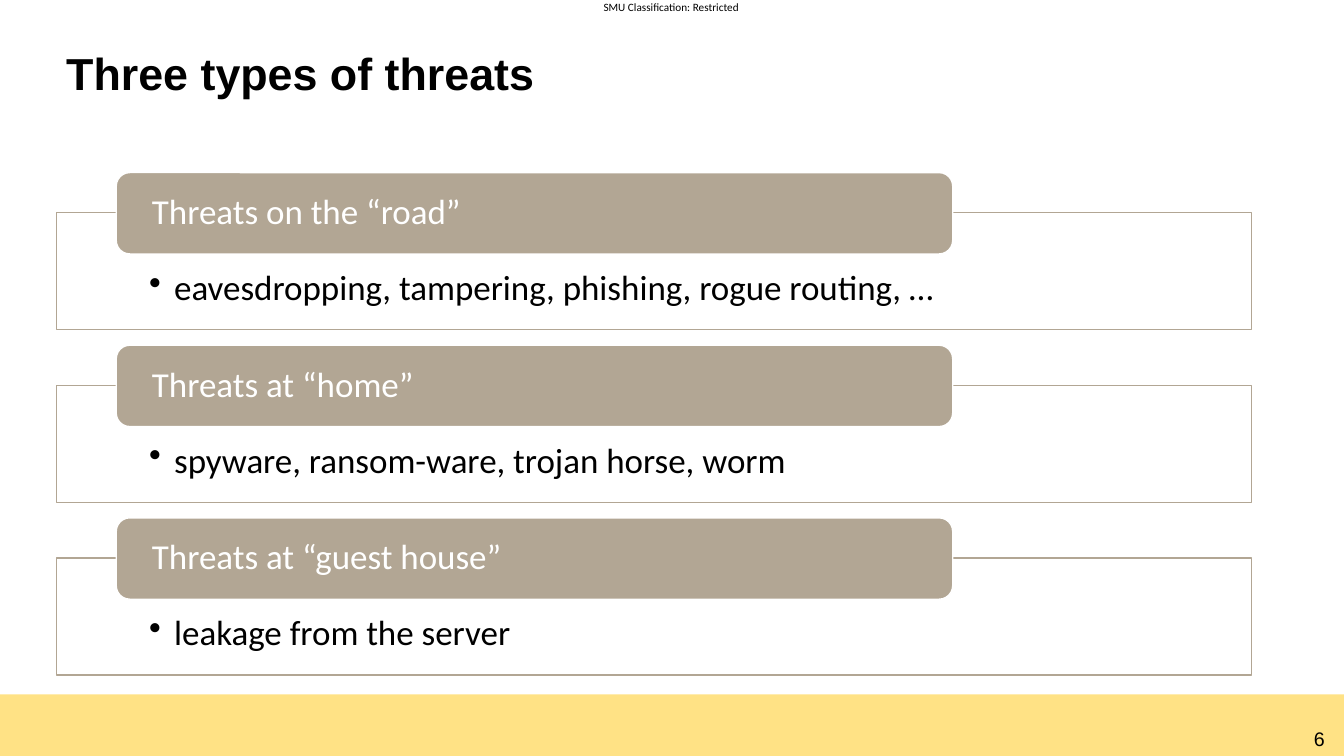
import pptx
import pptx.dml.color
import pptx.enum.shapes
import pptx.enum.text
import pptx.oxml
import pptx.oxml.ns
import pptx.util
from pptx.util import Cm

SHAPE = pptx.enum.shapes.MSO_SHAPE
ANCHOR = pptx.enum.text.MSO_ANCHOR
ALIGN = pptx.enum.text.PP_ALIGN


def color(value):
    return pptx.dml.color.RGBColor.from_string(value)


def write(box, text, size, font, ink="000000", align=ALIGN.LEFT,
          anchor=ANCHOR.TOP, insets=(0.25, 0.13, 0.25, 0.13), spacing=1.0, bullet=False):
    """Fill a box with one paragraph; insets are left, top, right, bottom in cm."""
    frame = box.text_frame
    frame.word_wrap = True
    frame.vertical_anchor = anchor
    frame.margin_left, frame.margin_top, frame.margin_right, frame.margin_bottom = map(Cm, insets)
    para = frame.paragraphs[0]
    para.text = text
    para.alignment = align
    para.line_spacing = spacing
    if bullet:
        properties = para._p.get_or_add_pPr()
        properties.set("marL", str(Cm(0.63)))
        properties.set("indent", str(-Cm(0.63)))
        properties.append(pptx.oxml.parse_xml(
            f'<a:buChar {pptx.oxml.ns.nsdecls("a")} char="•"/>'))
    para.font.size = pptx.util.Pt(size)
    para.font.name = font
    para.font.color.rgb = color(ink)
    return para


deck = pptx.Presentation()
deck.slide_width, deck.slide_height = Cm(33.87), Cm(19.05)
page = deck.slides.add_slide(deck.slide_layouts[6])
page.background.fill.solid()
page.background.fill.fore_color.rgb = color("FFFFFF")

# Footer band, page number and classification
band = page.shapes.add_shape(SHAPE.RECTANGLE, 0, Cm(17.5), deck.slide_width, Cm(1.55))
band.shadow.inherit = False
band.fill.solid()
band.fill.fore_color.rgb = color("FFE285")
band.line.fill.background()
number = page.shapes.add_textbox(Cm(32.64), Cm(18.19), Cm(1.22), Cm(0.86))
write(number, "6", 14, "Arial", align=ALIGN.CENTER)
label = page.shapes.add_textbox(Cm(15.21), 0, Cm(3.6), Cm(0.33))
write(label, "SMU Classification: Restricted", 8, "Calibri", insets=(0, 0, 0, 0))

# Title
title = page.shapes.add_textbox(Cm(1.42), Cm(0.08), Cm(30.12), Cm(3.68))
write(title, "Three types of threats", 32, "Arial", anchor=ANCHOR.MIDDLE,
      spacing=0.9).font.bold = True

# Threat panels, each with a heading over its top edge
threats = [
    ("Threats on the “road”", "eavesdropping, tampering, phishing, rogue routing, …"),
    ("Threats at “home”", "spyware, ransom-ware, trojan horse, worm"),
    ("Threats at “guest house”", "leakage from the server"),
]
for index, (heading_text, examples) in enumerate(threats):
    top = 4.35 + 4.35 * index
    panel = page.shapes.add_shape(SHAPE.RECTANGLE, Cm(1.42), Cm(top + 1.01), Cm(30.12), Cm(2.95))
    heading = page.shapes.add_shape(
        SHAPE.ROUNDED_RECTANGLE, Cm(2.93), Cm(top), Cm(21.08), Cm(2.05))
    for box, fill, line in ((panel, "FFFFFF", "B2A694"), (heading, "B2A694", "FFFFFF")):
        box.shadow.inherit = False
        box.fill.solid()
        box.fill.fore_color.rgb = color(fill)
        box.line.color.rgb = color(line)
        box.line.width = pptx.util.Pt(1)
    write(panel, examples, 25, "Calibri", insets=(2.34, 1.45, 2.34, 0.48),
          spacing=0.9, bullet=True)
    write(heading, heading_text, 25, "Calibri", ink="FFFFFF", anchor=ANCHOR.MIDDLE,
          insets=(0.8, 0, 0.8, 0), spacing=0.9)

deck.save("out.pptx")
